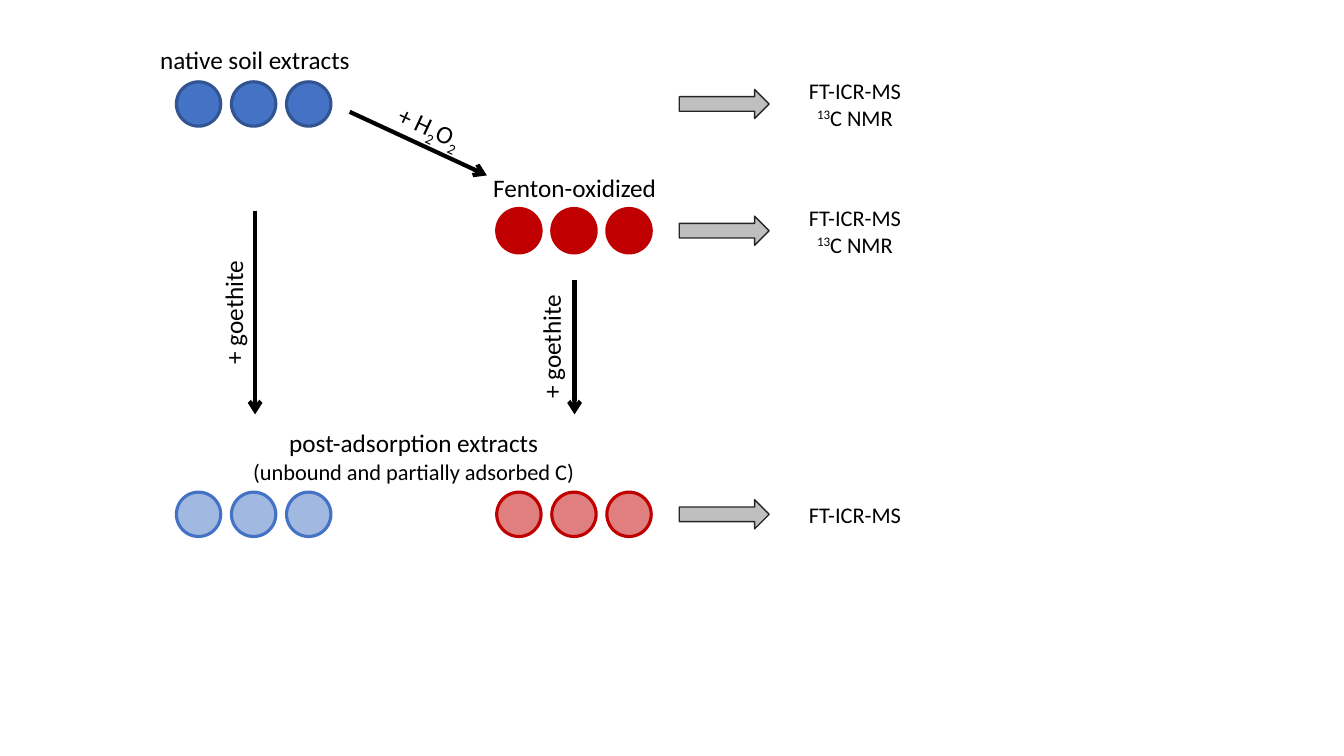
from lxml import etree
from pptx import Presentation
from pptx.dml.color import RGBColor
from pptx.enum.shapes import MSO_CONNECTOR, MSO_SHAPE
from pptx.enum.text import MSO_ANCHOR, MSO_AUTO_SIZE, PP_ALIGN
from pptx.oxml.ns import qn
from pptx.util import Pt

ELLIPSE, RIGHT_ARROW = MSO_SHAPE.OVAL, MSO_SHAPE.RIGHT_ARROW
STRAIGHT = MSO_CONNECTOR.STRAIGHT
CENTER, TOP, MIDDLE = PP_ALIGN.CENTER, MSO_ANCHOR.TOP, MSO_ANCHOR.MIDDLE
GROW = MSO_AUTO_SIZE.SHAPE_TO_FIT_TEXT

BLACK = RGBColor(0, 0, 0)
BLUE = RGBColor(0x44, 0x72, 0xC4)
NAVY = RGBColor(0x32, 0x54, 0x91)
RED = RGBColor(0xC0, 0, 0)
GRAY = RGBColor(0xBF, 0xBF, 0xBF)
CHARCOAL = RGBColor(0x26, 0x26, 0x26)

DOT, DOT_PITCH = 31.7, 39.35
NATIVE_X, FENTON_X = 126, 354.8
NATIVE_Y, FENTON_Y, ADSORBED_Y = 74.3, 164.8, 367.4  # row centres
FT_ICR = (16, [("FT-ICR-MS", 0)])
NMR = (16, [("13", 30), ("C NMR", 0)])
GOETHITE = [(18, [("+ goethite", 0)])]


def add_text(s, box, paragraphs, rotation=0, anchor=TOP):
    """Place centred paragraphs, each a size and its (text, baseline %) runs."""
    sp = s.shapes.add_textbox(*map(Pt, box))
    sp.rotation = rotation
    tf = sp.text_frame
    for name, value in {"word_wrap": True, "auto_size": GROW,
                        "vertical_anchor": anchor}.items():
        setattr(tf, name, value)
    for i, (size, runs) in enumerate(paragraphs):
        p = tf.add_paragraph() if i else tf.paragraphs[0]
        p.alignment = CENTER
        for text, baseline in runs:
            r = p.add_run()
            r.text = text
            for name, value in {"name": "Calibri", "size": Pt(size)}.items():
                setattr(r.font, name, value)
            r.font.color.rgb = BLACK
            if baseline:
                r.font._element.set("baseline", str(baseline * 1000))


def add_filled(s, kind, box, fill, line, width, alpha=100):
    """Place a preset shape with a fill, an outline and an opacity in percent."""
    sp = s.shapes.add_shape(kind, *map(Pt, box))
    sp.shadow.inherit = False
    sp.fill.solid()
    sp.fill.fore_color.rgb = fill
    sp.line.color.rgb = line
    sp.line.width = Pt(width)
    if alpha < 100:
        color = sp._element.spPr.find(qn("a:solidFill"))[0]
        etree.SubElement(color, qn("a:alpha"), val=str(alpha * 1000))


def add_step(s, x1, y1, x2, y2):
    """Draw a treatment arrow between two points."""
    sp = s.shapes.add_connector(STRAIGHT, *map(Pt, (x1, y1, x2, y2)))
    sp.line.color.rgb = BLACK
    sp.line.width = Pt(3)
    etree.SubElement(sp.line._get_or_add_ln(), qn("a:tailEnd"), type="arrow")
    etree.SubElement(sp._element.spPr, qn("a:effectLst"))


def add_samples(s, x, center_y, fill, line, alpha=100):
    """Draw three replicate dots from x, centred on a row."""
    for i in range(3):
        box = (x + i * DOT_PITCH, center_y - DOT / 2, DOT, DOT)
        add_filled(s, ELLIPSE, box, fill, line, 2.25, alpha)


def add_analysis(s, x, center_y, methods):
    """Draw a block arrow and the methods it leads to, centred on a row."""
    add_filled(s, RIGHT_ARROW, (x, center_y - 10.4, 64.2, 20.8), GRAY, CHARCOAL, 1)
    height = 7.2 + 19.4 * len(methods)
    add_text(s, (x + 52, center_y - height / 2, 147, height), methods, anchor=MIDDLE)


def add_workflow(s):
    """Lay out the extracts, the treatments and the analyses."""
    add_text(s, (243.5, 76.3, 127.2, 29), [
        (18, [("+ H", 0), ("2", -25), ("O", 0), ("2", -25)])], rotation=25)
    for sample in [(NATIVE_X, NATIVE_Y, BLUE, NAVY),
                   (FENTON_X, FENTON_Y, RED, RED),
                   (NATIVE_X, ADSORBED_Y, BLUE, BLUE, 50),
                   (FENTON_X, ADSORBED_Y, RED, RED, 50)]:
        add_samples(s, *sample)
    for step in [(410.4, 200, 410.4, 296), (182.2, 150.5, 182.2, 296),
                 (249.8, 79.9, 347.8, 125.3)]:
        add_step(s, *step)
    add_text(s, (91.4, 28.3, 181.4, 29), [(18, [("native soil extracts", 0)])])
    add_text(s, (337, 119.7, 147, 29), [(18, [("Fenton-oxidized", 0)])])
    for x, y in [(103, 208.8), (330, 233.3)]:
        add_text(s, (x, y, 127.2, 29), GOETHITE, rotation=270)
    add_text(s, (126, 301.8, 339, 48.5), [
        (18, [("post-adsorption extracts", 0)]),
        (16, [("(unbound and partially adsorbed C)", 0)])])
    for y, methods in [(NATIVE_Y, [FT_ICR, NMR]), (FENTON_Y, [FT_ICR, NMR]),
                       (ADSORBED_Y, [FT_ICR])]:
        add_analysis(s, 485.2, y, methods)


prs = Presentation()
prs.slide_width, prs.slide_height = Pt(960), Pt(540)
s = prs.slides.add_slide(prs.slide_layouts[6])
add_workflow(s)
prs.save("out.pptx")
